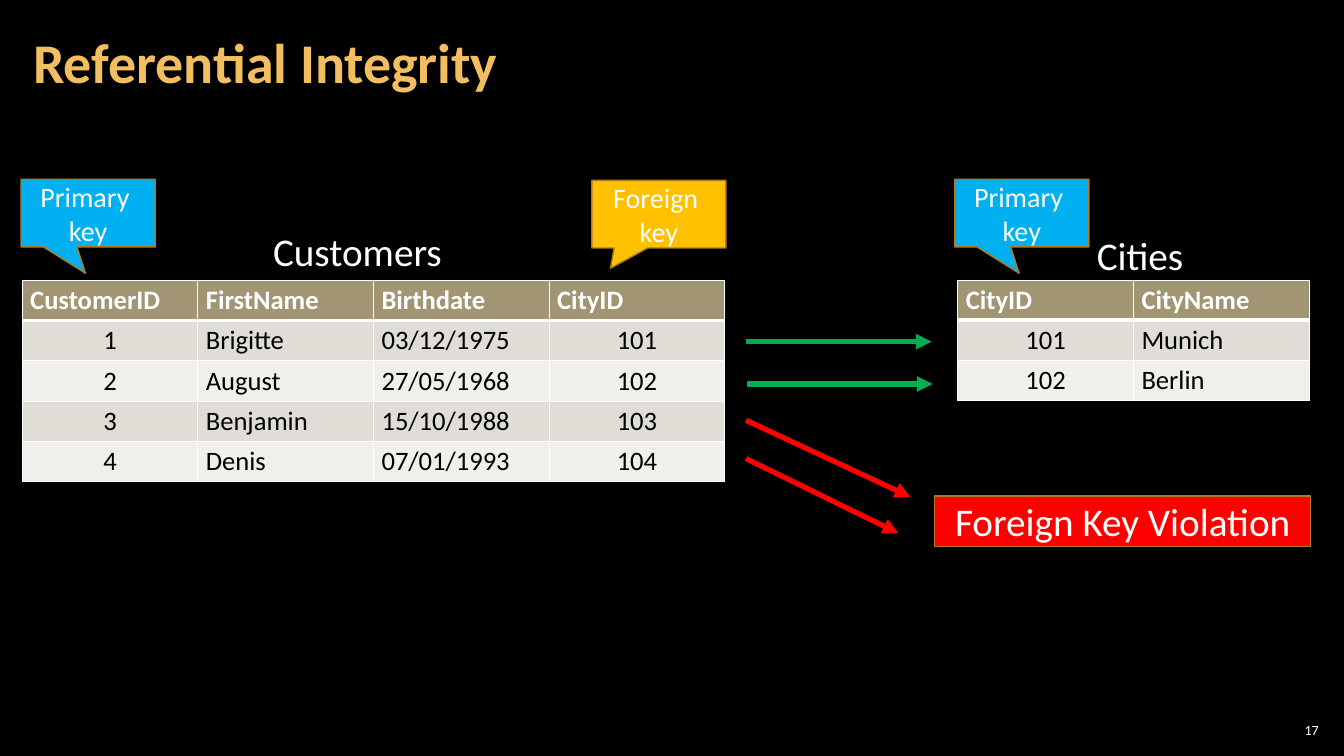
from lxml.etree import SubElement
from pptx import Presentation
from pptx.dml.color import RGBColor
from pptx.enum.shapes import MSO_CONNECTOR, MSO_SHAPE
from pptx.enum.text import MSO_ANCHOR, MSO_AUTO_SIZE, PP_ALIGN
from pptx.oxml.ns import qn
from pptx.util import Inches, Pt

BLACK = RGBColor(0x00, 0x00, 0x00)
WHITE = RGBColor(0xFF, 0xFF, 0xFF)
GOLD = RGBColor(0xF3, 0xBE, 0x60)
HEADER = RGBColor(0xA1, 0x95, 0x74)
BAND_DARK = RGBColor(0xE0, 0xDD, 0xD6)
BAND_LIGHT = RGBColor(0xF0, 0xEF, 0xEB)
BLUE = RGBColor(0x00, 0xB0, 0xF0)
AMBER = RGBColor(0xFF, 0xC0, 0x00)
OUTLINE = RGBColor(0xB2, 0x78, 0x22)
GREEN = RGBColor(0x00, 0xB0, 0x50)
RED = RGBColor(0xFF, 0x00, 0x00)

COLUMN_WIDTH = 1.7425
ROW_HEIGHT = 0.39
CUSTOMERS = [
    ["CustomerID", "FirstName", "Birthdate", "CityID"],
    ["1", "Brigitte", "03/12/1975", "101"],
    ["2", "August", "27/05/1968", "102"],
    ["3", "Benjamin", "15/10/1988", "103"],
    ["4", "Denis", "07/01/1993", "104"],
]
CITIES = [["CityID", "CityName"], ["101", "Munich"], ["102", "Berlin"]]
MATCHES = [(7.4, 3.39, 9.24, 3.39), (7.41, 3.81, 9.25, 3.81)]
VIOLATIONS = [(7.4, 4.17, 9.03, 4.93), (7.4, 4.55, 8.91, 5.29)]


def write_text(frame, text, size, color=WHITE, bold=False, align=PP_ALIGN.LEFT):
    frame.text = text
    for para in frame.paragraphs:
        para.alignment = align
        for span in para.runs:
            span.font.name = "Calibri"
            span.font.size = Pt(size)
            span.font.bold = bold
            span.font.color.rgb = color


def set_margins(frame, side, end):
    frame.margin_left = frame.margin_right = Inches(side)
    frame.margin_top = frame.margin_bottom = Inches(end)


def add_title(page, left, top, width, height):
    title = page.shapes.title
    title.left, title.top = Inches(left), Inches(top)
    title.width, title.height = Inches(width), Inches(height)
    frame = title.text_frame
    write_text(frame, "Referential Integrity", 40, GOLD, True)
    frame.paragraphs[0].line_spacing = 0.9
    frame.vertical_anchor = MSO_ANCHOR.MIDDLE
    set_margins(frame, 0.12, 0.04)


def add_page_number(page, left, top, width, height):
    box = page.shapes.add_textbox(Inches(left), Inches(top), Inches(width), Inches(height))
    frame = box.text_frame
    frame.word_wrap = True
    frame.vertical_anchor = MSO_ANCHOR.MIDDLE
    set_margins(frame, 0.04, 0.04)
    write_text(frame, "17", 10, align=PP_ALIGN.RIGHT)


def add_label(page, text, left, top, width, height):
    box = page.shapes.add_textbox(Inches(left), Inches(top), Inches(width), Inches(height))
    box.text_frame.word_wrap = False
    box.text_frame.auto_size = MSO_AUTO_SIZE.SHAPE_TO_FIT_TEXT
    write_text(box.text_frame, text, 28)


def set_borders(cell, top, bottom):
    properties = cell._tc.get_or_add_tcPr()
    for side, width in (("L", 1), ("R", 1), ("T", top), ("B", bottom)):
        line = SubElement(properties, qn(f"a:ln{side}"), w=str(Pt(width)))
        fill = SubElement(line, qn("a:solidFill"))
        SubElement(fill, qn("a:srgbClr"), val=str(WHITE))


def add_data_table(page, rows, left, top):
    columns = len(rows[0])
    table = page.shapes.add_table(
        len(rows), columns, Inches(left), Inches(top),
        Inches(COLUMN_WIDTH * columns), Inches(ROW_HEIGHT * len(rows)),
    ).table
    for row in table.rows:
        row.height = Inches(ROW_HEIGHT)
    for row_index, values in enumerate(rows):
        is_header = row_index == 0
        for column_index, value in enumerate(values):
            cell = table.cell(row_index, column_index)
            set_borders(cell, 3 if row_index == 1 else 1, 3 if is_header else 1)
            band = BAND_DARK if row_index % 2 else BAND_LIGHT
            cell.fill.solid()
            cell.fill.fore_color.rgb = HEADER if is_header else band
            set_margins(cell, 0.08, 0.04)
            centered = not is_header and rows[0][column_index].endswith("ID")
            write_text(
                cell.text_frame, value, 19, WHITE if is_header else BLACK,
                is_header, PP_ALIGN.CENTER if centered else PP_ALIGN.LEFT,
            )


def add_block(page, kind, text, size, color, left, top, width, height):
    block = page.shapes.add_shape(kind, Inches(left), Inches(top), Inches(width), Inches(height))
    block.shadow.inherit = False
    block.fill.solid()
    block.fill.fore_color.rgb = color
    block.line.color.rgb = OUTLINE
    block.line.width = Pt(1)
    block.text_frame.word_wrap = True
    block.text_frame.vertical_anchor = MSO_ANCHOR.MIDDLE
    write_text(block.text_frame, text, size, align=PP_ALIGN.CENTER)
    return block


def add_key_callout(page, key, color, left, top, tip):
    callout = add_block(
        page, MSO_SHAPE.RECTANGULAR_CALLOUT, f"{key} \vkey", 20, color, left, top, 1.33, 0.67
    )
    callout.adjustments[0], callout.adjustments[1] = tip


def add_arrows(page, routes, color):
    for route in routes:
        arrow = page.shapes.add_connector(MSO_CONNECTOR.STRAIGHT, *map(Inches, route))
        arrow.line.color.rgb = color
        arrow.line.width = Pt(3.75)
        SubElement(arrow.line._get_or_add_ln(), qn("a:tailEnd"), type="triangle")
        SubElement(arrow._element.spPr, qn("a:effectLst"))


def add_customers(page, left, top):
    add_data_table(page, CUSTOMERS, left, top)
    add_key_callout(page, "Primary", BLUE, left - 0.01, top - 1, (-0.02, 0.89))
    add_key_callout(page, "Foreign", AMBER, left + 5.65, top - 0.99, (-0.36, 0.8))
    add_label(page, "Customers", left + 2.39, top - 0.57, 1.89, 0.57)


def add_cities(page, left, top):
    add_data_table(page, CITIES, left, top)
    add_key_callout(page, "Primary", BLUE, left - 0.03, top - 1, (-0.02, 0.89))
    add_label(page, "Cities", left + 1.28, top - 0.53, 1.07, 0.57)


def build_integrity_slide(deck):
    page = deck.slides.add_slide(deck.slide_layouts[5])
    page.background.fill.solid()
    page.background.fill.fore_color.rgb = BLACK
    add_title(page, 0.21, 0.04, 10.47, 1.21)
    add_customers(page, 0.22, 2.78)
    add_cities(page, 9.5, 2.78)
    add_arrows(page, MATCHES, GREEN)
    add_arrows(page, VIOLATIONS, RED)
    add_block(
        page, MSO_SHAPE.FLOWCHART_PROCESS, "Foreign Key Violation", 28, RED, 9.27, 4.92, 3.73, 0.5
    )
    add_page_number(page, 12.65, 7.14, 0.47, 0.21)


def main():
    deck = Presentation()
    deck.slide_width, deck.slide_height = Inches(13.33), Inches(7.5)
    build_integrity_slide(deck)
    deck.save("out.pptx")


if __name__ == "__main__":
    main()
